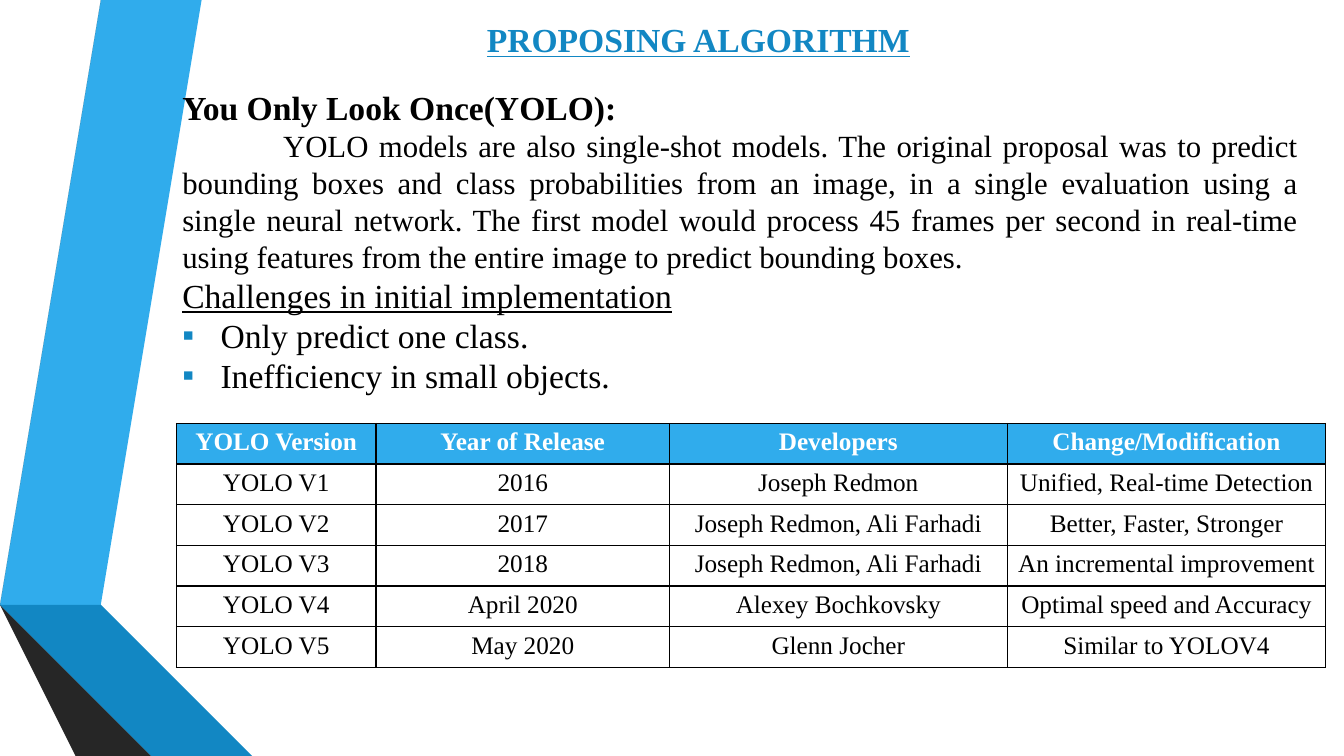
"""Build the slide on the proposed YOLO algorithm and its versions."""
from lxml import etree
from pptx import Presentation
from pptx.dml.color import RGBColor
from pptx.enum import text
from pptx.oxml import ns
from pptx.util import Inches, Pt


def rgb(value):
    return RGBColor.from_string(value)


def write(p, content, size=24, color="000000", bold=False, underline=False,
          align=text.PP_ALIGN.LEFT):
    p.alignment = align
    r = p.add_run()
    r.text = content
    f = r.font
    f.name, f.size, f.bold, f.underline = "Times New Roman", Pt(size), bold, underline
    f.color.rgb = rgb(color)


prs = Presentation()
prs.slide_width, prs.slide_height = Inches(13.33), Inches(7.5)
s = prs.slides.add_slide(prs.slide_layouts[6])

ribbons = [
    ("30ACEC", [(0.5, 5.78), (0.77, 5.83), (1.73, 0), (1.45, 0)]),
    ("595959", [(1.39, 0), (1.11, 0), (0.16, 5.73), (0.44, 5.77)]),
    ("262626", [(0.16, 5.73), (1.45, 7.5), (1.51, 7.5)]),
    ("0C5A82", [(0.5, 5.79), (2.08, 7.5), (2.14, 7.5)]),
    ("1287C3", [(0.5, 5.78), (2.14, 7.5), (2.83, 7.5), (0.77, 5.83)]),
    ("404040", [(2.02, 7.5), (0.48, 5.83), (0.44, 5.77), (0.16, 5.73), (1.51, 7.5)]),
]
for color, points in ribbons:
    fb = s.shapes.build_freeform(*points[0], scale=Inches(1))
    fb.add_line_segments(points[1:], close=True)
    sp = fb.convert_to_shape()
    sp.shadow.inherit = False
    sp.fill.solid()
    sp.fill.fore_color.rgb = rgb(color)
    sp.line.fill.background()

tf = s.shapes.add_textbox(Inches(1.71), Inches(0.81), Inches(11.26), Inches(3.2)).text_frame
tf.word_wrap = True
write(tf.paragraphs[0], "You Only Look Once(YOLO):", bold=True)
p = tf.add_paragraph()
p._p.get_or_add_pPr().set("indent", str(Inches(1)))
write(p, "YOLO models are also single-shot models. The original proposal was to predict "
      "bounding boxes and class probabilities from an image, in a single evaluation using "
      "a single neural network. The first model would process 45 frames per second in "
      "real-time using features from the entire image to predict bounding boxes.",
      size=22, align=text.PP_ALIGN.JUSTIFY)
write(tf.add_paragraph(), "Challenges in initial implementation", underline=True,
      align=text.PP_ALIGN.JUSTIFY)
for challenge in ["Only predict one class.", "Inefficiency in small objects."]:
    p = tf.add_paragraph()
    pPr = p._p.get_or_add_pPr()
    pPr.set("marL", str(Inches(0.38)))
    pPr.set("indent", str(Inches(-0.38)))
    bullet_color = etree.SubElement(pPr, ns.qn("a:buClr"))
    etree.SubElement(bullet_color, ns.qn("a:srgbClr"), val="1287C3")
    etree.SubElement(pPr, ns.qn("a:buFont"), typeface="Times New Roman")
    etree.SubElement(pPr, ns.qn("a:buChar"), char="▪")
    write(p, challenge, align=text.PP_ALIGN.JUSTIFY)

rows = [
    ("YOLO Version", "Year of Release", "Developers", "Change/Modification"),
    ("YOLO V1", "2016", "Joseph Redmon", "Unified, Real-time Detection"),
    ("YOLO V2", "2017", "Joseph Redmon, Ali Farhadi", "Better, Faster, Stronger"),
    ("YOLO V3", "2018", "Joseph Redmon, Ali Farhadi", "An incremental improvement"),
    ("YOLO V4", "April 2020", "Alexey Bochkovsky", "Optimal speed and Accuracy"),
    ("YOLO V5", "May 2020", "Glenn Jocher", "Similar to YOLOV4"),
]
table = s.shapes.add_table(len(rows), 4, Inches(1.75), Inches(4.2),
                           Inches(11.4), Inches(2.42)).table
for column, width in zip(table.columns, [1.98, 2.91, 3.35, 3.16]):
    column.width = Inches(width)
for i, row in enumerate(rows):
    header = i == 0
    for j, content in enumerate(row):
        cell = table.cell(i, j)
        cell.margin_left = cell.margin_right = Inches(0.08)
        write(cell.text_frame.paragraphs[0], content, size=18, bold=header,
              color="FFFFFF" if header else "000000", align=text.PP_ALIGN.CENTER)
        tcPr = cell._tc.get_or_add_tcPr()
        for side in ["lnL", "lnR", "lnT", "lnB"]:
            ln = etree.SubElement(tcPr, ns.qn(f"a:{side}"), w=str(Pt(1)))
            line_fill = etree.SubElement(ln, ns.qn("a:solidFill"))
            etree.SubElement(line_fill, ns.qn("a:srgbClr"), val="000000")
        cell.fill.solid()
        cell.fill.fore_color.rgb = rgb("30ACEC" if header else "FFFFFF")

tf = s.shapes.add_textbox(Inches(4.73), Inches(0.14), Inches(4.85), Inches(0.5)).text_frame
tf.word_wrap = True
write(tf.paragraphs[0], "PROPOSING ALGORITHM", color="1287C3", bold=True, underline=True)

prs.save("out.pptx")
